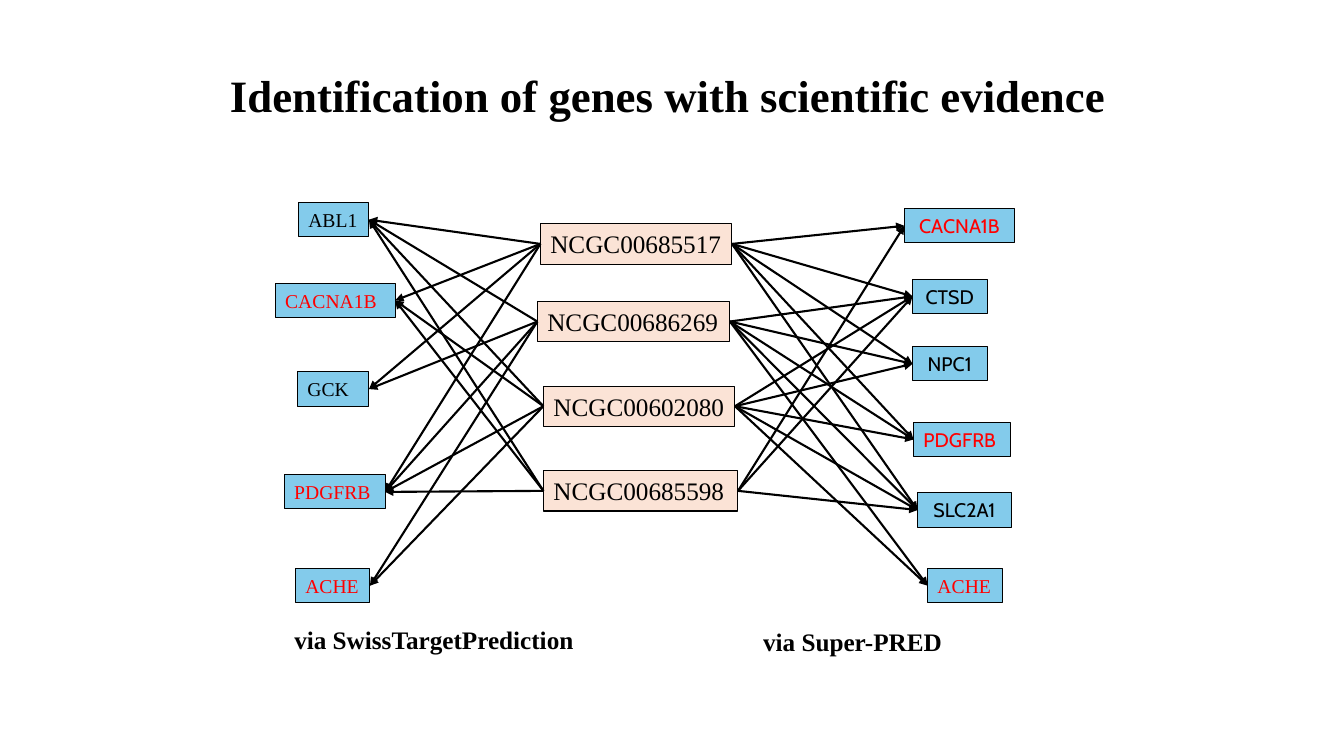
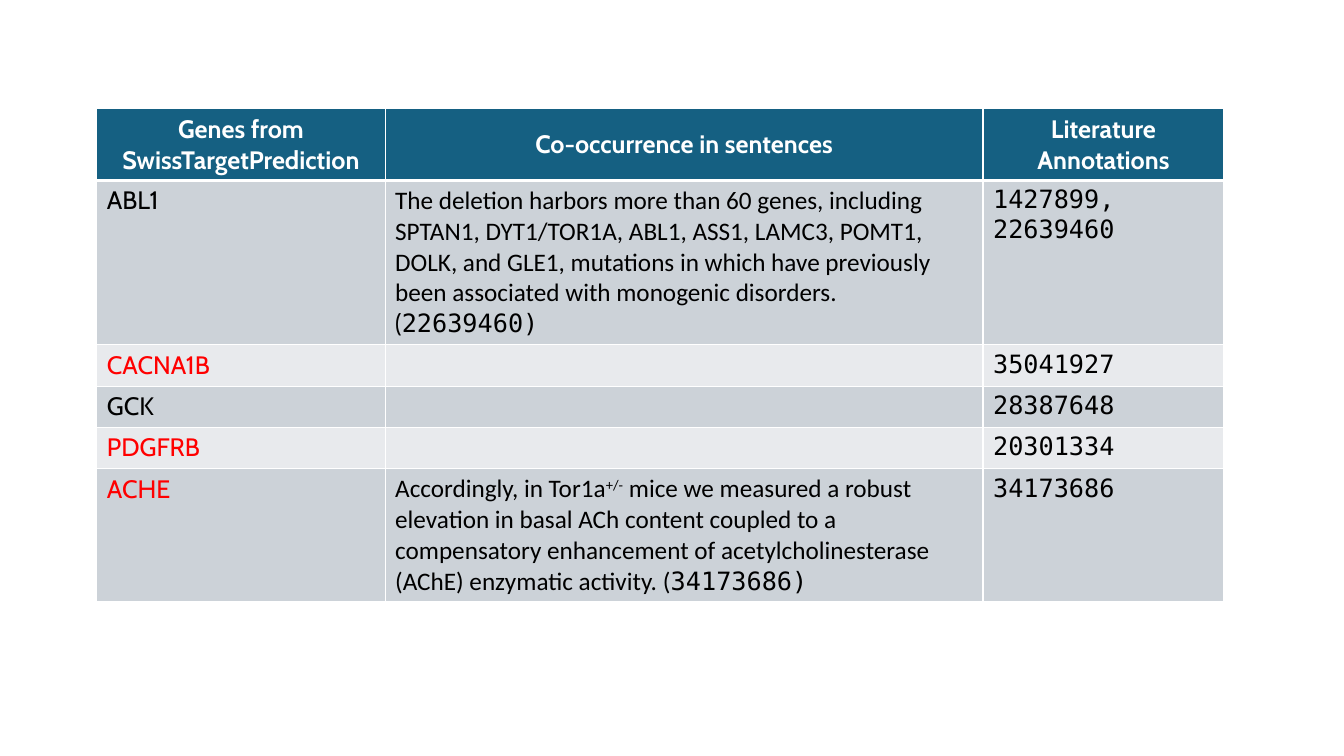
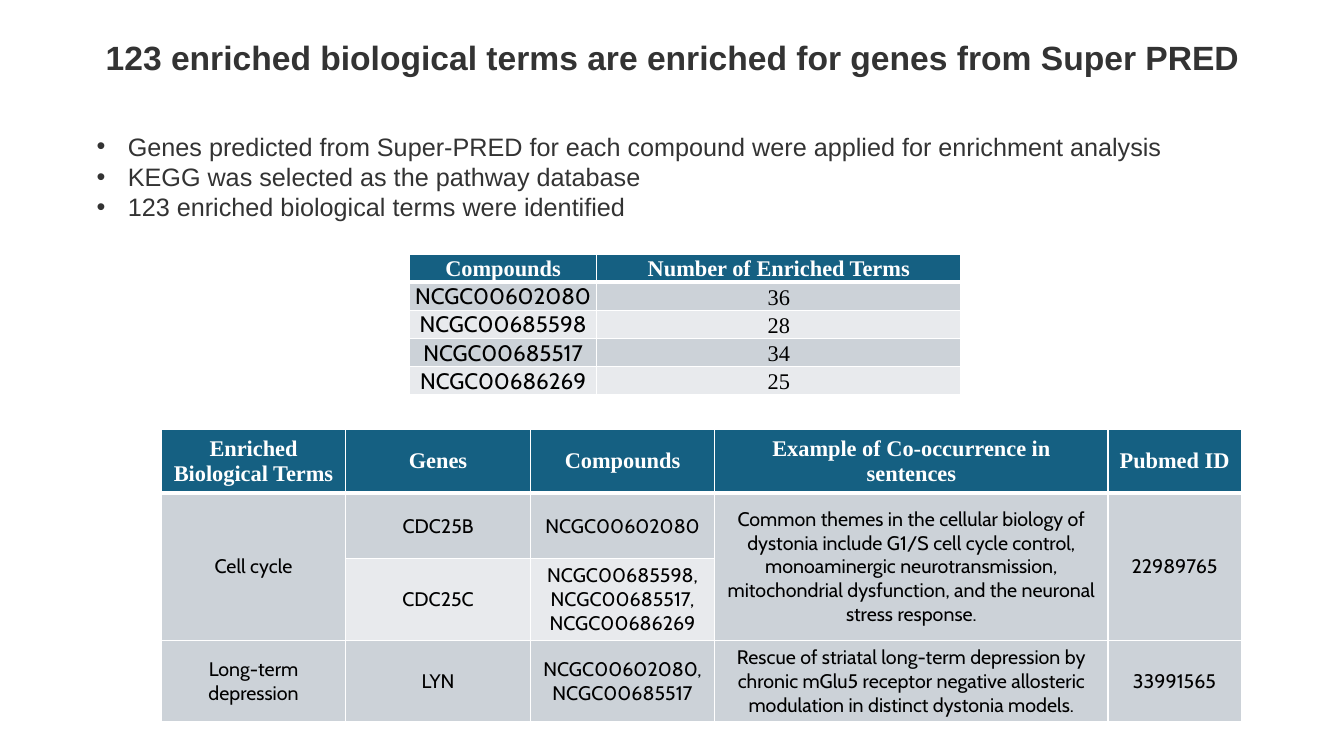
from dataclasses import dataclass

from lxml.etree import SubElement
from pptx import Presentation
from pptx.dml.color import RGBColor
from pptx.enum.shapes import MSO_CONNECTOR as Connector, MSO_SHAPE as Preset
from pptx.enum.text import MSO_ANCHOR as Anchor, MSO_AUTO_SIZE as AutoSize, PP_ALIGN as Align
from pptx.oxml.ns import qn
from pptx.util import Inches, Pt


@dataclass(frozen=True)
class Theme:
    # Colours
    black: str = "000000"
    white: str = "FFFFFF"
    grey: str = "333333"
    red: str = "FF0000"
    gene: str = "83CBEB"
    compound: str = "FBE3D6"
    header: str = "156082"
    bands: tuple = ("CCD2D8", "E8EAED")
    # Fonts
    serif: str = "Times New Roman"
    sans: str = "Arial"
    cabin: str = "Cabin"
    calibri: str = "Calibri"
    mono: str = "DejaVu Sans Mono"
    # Type sizes in points
    large_title: int = 32
    title: int = 24
    body: int = 18
    table: int = 16
    small: int = 14


THEME = Theme()
SHARED_GENES = {"CACNA1B", "PDGFRB", "ACHE"}
LEFT_SITE, RIGHT_SITE = 1, 3


def gene_color(name):
    return THEME.red if name in SHARED_GENES else THEME.black


def write(frame, content, *, font, size, color=THEME.black, bold=False,
          align=Align.LEFT, bullet=None):
    """Fill a frame; content is a string or a list of paragraphs, each a
    string or a list of spans, each a string or (string, changes)."""
    paragraphs = [content] if isinstance(content, str) else content
    for index, spans in enumerate(paragraphs):
        para = frame.paragraphs[0] if index == 0 else frame.add_paragraph()
        para.alignment = align
        if bullet:
            properties = para._p.get_or_add_pPr()
            properties.set("marL", str(Inches(0.31)))
            properties.set("indent", str(-Inches(0.31)))
            SubElement(properties, qn("a:buFont")).set("typeface", THEME.sans)
            SubElement(properties, qn("a:buChar")).set("char", bullet)
        for item in [spans] if isinstance(spans, str) else spans:
            text, changes = (item, {}) if isinstance(item, str) else item
            span = para.add_run()
            span.text = text
            span.font.name = changes.get("font", font)
            span.font.size = Pt(size)
            span.font.bold = bold
            span.font.color.rgb = RGBColor.from_string(color)
            if "baseline" in changes:
                span._r.get_or_add_rPr().set("baseline", str(changes["baseline"]))


class Painter:
    def __init__(self, deck, theme):
        self.deck, self.theme, self.slide = deck, theme, None

    def new_slide(self, titled=True):
        self.slide = self.deck.slides.add_slide(self.deck.slide_layouts[5 if titled else 6])

    def title(self, text, place, **style):
        box = self.slide.shapes.title
        box.left, box.top, box.width, box.height = map(Inches, place)
        frame = box.text_frame
        frame.word_wrap, frame.auto_size = True, AutoSize.NONE
        frame.vertical_anchor = Anchor.TOP
        write(frame, text, bold=True, align=Align.CENTER, **style)

    def text(self, content, place, **style):
        box = self.slide.shapes.add_textbox(*map(Inches, place))
        box.text_frame.word_wrap = True
        write(box.text_frame, content, **style)

    def node(self, text, place, fill, align=Align.LEFT, **style):
        box = self.slide.shapes.add_shape(Preset.RECTANGLE, *map(Inches, place))
        box.shadow.inherit = False
        box.fill.solid()
        box.fill.fore_color.rgb = RGBColor.from_string(fill)
        box.line.color.rgb = RGBColor.from_string(self.theme.black)
        box.line.width = Pt(0.75)
        frame = box.text_frame
        frame.word_wrap, frame.vertical_anchor = True, Anchor.MIDDLE
        if align == Align.LEFT:
            frame.margin_right = 0
        write(frame, text, align=align, **style)
        return box

    def arrow(self, source, source_site, target, target_site):
        line = self.slide.shapes.add_connector(Connector.STRAIGHT, 0, 0, 0, 0)
        line.begin_connect(source, source_site)
        line.end_connect(target, target_site)
        line.line.color.rgb = RGBColor.from_string(self.theme.black)
        line.line.width = Pt(1.5)
        SubElement(line.line._get_or_add_ln(), qn("a:tailEnd")).set("type", "triangle")
        SubElement(line._element.spPr, qn("a:effectLst"))

    def borders(self, cell, bottom):
        properties = cell._tc.get_or_add_tcPr()
        for side, width in (("L", 1), ("R", 1), ("T", 1), ("B", bottom)):
            edge = SubElement(properties, qn(f"a:ln{side}"), w=str(Pt(width)))
            fill = SubElement(edge, qn("a:solidFill"))
            SubElement(fill, qn("a:srgbClr")).set("val", self.theme.white)

    def table(self, rows, corner, widths, heights, *, header_font, fonts, header_size,
              size, align=Align.CENTER, anchor=Anchor.MIDDLE, margins=None, merges=()):
        frame = self.slide.shapes.add_table(
            len(rows), len(widths), *map(Inches, (*corner, sum(widths), sum(heights))))
        table = frame.table
        table.first_row = table.horz_banding = False
        for column, width in zip(table.columns, widths):
            column.width = Inches(width)
        for row, height in zip(table.rows, heights):
            row.height = Inches(height)
        for r, values in enumerate(rows):
            head = r == 0
            for c, content in enumerate(values):
                cell = table.cell(r, c)
                self.borders(cell, bottom=3 if head else 1)
                cell.fill.solid()
                cell.fill.fore_color.rgb = RGBColor.from_string(
                    self.theme.header if head else self.theme.bands[(r - 1) % 2])
                cell.vertical_anchor = Anchor.MIDDLE if head else anchor
                if margins:
                    (cell.margin_left, cell.margin_top,
                     cell.margin_right, cell.margin_bottom) = map(Inches, margins)
                if not content:
                    continue
                if head:
                    write(cell.text_frame, content, font=header_font, size=header_size,
                          color=self.theme.white, bold=True, align=Align.CENTER)
                else:
                    color = gene_color(content) if isinstance(content, str) else self.theme.black
                    write(cell.text_frame, content, font=fonts[c], size=size,
                          color=color, align=align)
        for first, last, column in merges:
            table.cell(first, column).merge(table.cell(last, column))


def gene_network(painter):
    theme = painter.theme
    painter.new_slide()
    painter.title("Identification of genes with scientific evidence", (1.05, 0.62, 11.15, 0.64),
                  font=theme.serif, size=theme.large_title)

    # Compounds: name, left, top, width, predicted genes on each side
    compounds = [
        ("NCGC00685517", 5.36, 2.22, 1.9, "ABL1 CACNA1B GCK PDGFRB",
         "CACNA1B CTSD NPC1 PDGFRB SLC2A1"),
        ("NCGC00686269", 5.33, 2.99, 1.91, "ABL1 GCK PDGFRB ACHE",
         "CTSD NPC1 PDGFRB SLC2A1 ACHE"),
        ("NCGC00602080", 5.39, 3.83, 1.9, "ABL1 CACNA1B PDGFRB ACHE",
         "CTSD NPC1 PDGFRB SLC2A1 ACHE"),
        ("NCGC00685598", 5.39, 4.67, 1.93, "ABL1 CACNA1B PDGFRB",
         "CACNA1B CTSD SLC2A1"),
    ]
    # Genes: name, left, top, width, font, alignment
    swiss_genes = [
        (*gene, theme.serif, Align.LEFT) for gene in (
            ("ABL1", 2.96, 2.01, 0.7), ("CACNA1B", 2.73, 2.81, 1.19), ("GCK", 2.95, 3.69, 0.71),
            ("PDGFRB", 2.82, 4.71, 1), ("ACHE", 2.93, 5.64, 0.74))
    ]
    super_genes = [
        ("CACNA1B", 8.97, 2.07, 1.09, theme.cabin, Align.CENTER),
        ("CTSD", 9.05, 2.77, 0.74, theme.cabin, Align.CENTER),
        ("NPC1", 9.05, 3.44, 0.74, theme.cabin, Align.CENTER),
        ("PDGFRB", 9.06, 4.19, 0.96, theme.cabin, Align.LEFT),
        ("SLC2A1", 9.1, 4.89, 0.93, theme.cabin, Align.CENTER),
        ("ACHE", 9.2, 5.64, 0.74, theme.serif, Align.LEFT),
    ]

    def gene_boxes(genes):
        return {name: painter.node(name, (left, top, width, 0.34), theme.gene, align, font=font,
                                   size=theme.small, color=gene_color(name))
                for name, left, top, width, font, align in genes}

    swiss_boxes, super_boxes = gene_boxes(swiss_genes), gene_boxes(super_genes)
    for name, left, top, width, swiss_targets, super_targets in compounds:
        box = painter.node(name, (left, top, width, 0.4), theme.compound,
                           font=theme.serif, size=theme.body)
        for target in swiss_targets.split():
            painter.arrow(box, LEFT_SITE, swiss_boxes[target], RIGHT_SITE)
        for target in super_targets.split():
            painter.arrow(box, RIGHT_SITE, super_boxes[target], LEFT_SITE)

    # Captions
    for caption, place in (("via SwissTargetPrediction", (2.82, 6.14, 3.28, 0.4)),
                           ("via Super-PRED", (7.47, 6.16, 2.6, 0.4))):
        painter.text(caption, place, font=theme.serif, size=theme.body, bold=True)


def literature_evidence(painter):
    theme = painter.theme
    painter.new_slide(titled=False)
    mono = {"font": theme.mono}
    deletion = [
        "The deletion harbors more than 60 genes, including SPTAN1, DYT1/TOR1A, ABL1, ASS1, LAMC3, "
        "POMT1, DOLK, and GLE1, mutations in which have previously been associated with monogenic "
        "disorders.",
        [("(", {"font": theme.cabin}), ("22639460)", mono)],
    ]
    elevation = [[
        "Accordingly, in Tor1a", ("+/-", {"baseline": 30000}),
        " mice we measured a robust elevation in basal ACh content coupled to a compensatory "
        "enhancement of acetylcholinesterase (AChE) enzymatic activity. (", ("34173686)", mono),
    ]]
    rows = [
        ("Genes from SwissTargetPrediction", "Co-occurrence in sentences", "Literature Annotations"),
        ("ABL1", deletion, "1427899, 22639460"),
        ("CACNA1B", "", "35041927"),
        ("GCK", "", "28387648"),
        ("PDGFRB", "", "20301334"),
        ("ACHE", elevation, "34173686"),
    ]
    painter.table(rows, (0.96, 1.08), (2.86, 5.93, 2.39), (0.7, 1.63, 0.41, 0.41, 0.41, 1.31),
                  header_font=theme.cabin, fonts=(theme.cabin, theme.calibri, theme.mono),
                  header_size=theme.body, size=theme.body, align=Align.LEFT, anchor=Anchor.TOP)


def enriched_terms(painter):
    theme = painter.theme
    painter.new_slide()
    painter.title("123 enriched biological terms are enriched for genes from Super PRED",
                  (0.15, 0.32, 13.04, 0.5), font=theme.sans, size=theme.title, color=theme.grey)
    painter.text([
        "Genes predicted from Super-PRED for each compound were applied for enrichment analysis",
        "KEGG was selected as the pathway database",
        "123 enriched biological terms were identified",
    ], (0.86, 1.25, 12.2, 1.01), font=theme.sans, size=theme.body, color=theme.grey, bullet="•")

    # Terms per compound
    counts = [
        ("Compounds", "Number of Enriched Terms"),
        ("NCGC00602080", "36"),
        ("NCGC00685598", "28"),
        ("NCGC00685517", "34"),
        ("NCGC00686269", "25"),
    ]
    painter.table(counts, (4.06, 2.52), (1.86, 3.61), (0.25, *[0.28] * 4),
                  header_font=theme.serif, fonts=(theme.cabin, theme.serif),
                  header_size=theme.table, size=theme.table, anchor=Anchor.BOTTOM,
                  margins=(0.01, 0.01, 0.01, 0))

    # Evidence per term
    evidence = [
        ("Enriched Biological Terms", "Genes", "Compounds",
         "Example of Co-occurrence in sentences", "Pubmed ID"),
        ("Cell cycle", "CDC25B", "NCGC00602080",
         "Common themes in the cellular biology of dystonia include G1/S cell cycle control, "
         "monoaminergic neurotransmission, mitochondrial dysfunction, and the neuronal stress "
         "response.", "22989765"),
        ("", "CDC25C", ["NCGC00685598, NCGC00685517,", "NCGC00686269"], "", ""),
        ("Long-term depression", "LYN", "NCGC00602080, NCGC00685517",
         "Rescue of striatal long-term depression by chronic mGlu5 receptor negative allosteric "
         "modulation in distinct dystonia models.", "33991565"),
    ]
    painter.table(evidence, (1.6, 4.26), (1.83, 1.83, 1.83, 3.9, 1.32), (0.58, 0.65, 0.81, 0.81),
                  header_font=theme.serif, fonts=[theme.cabin] * 5,
                  header_size=theme.table, size=theme.small,
                  merges=[(1, 2, column) for column in (0, 3, 4)])


def main():
    deck = Presentation()
    deck.slide_width, deck.slide_height = Inches(13.33), Inches(7.5)
    painter = Painter(deck, THEME)
    for build in (gene_network, literature_evidence, enriched_terms):
        build(painter)
    deck.save("out.pptx")


if __name__ == "__main__":
    main()
